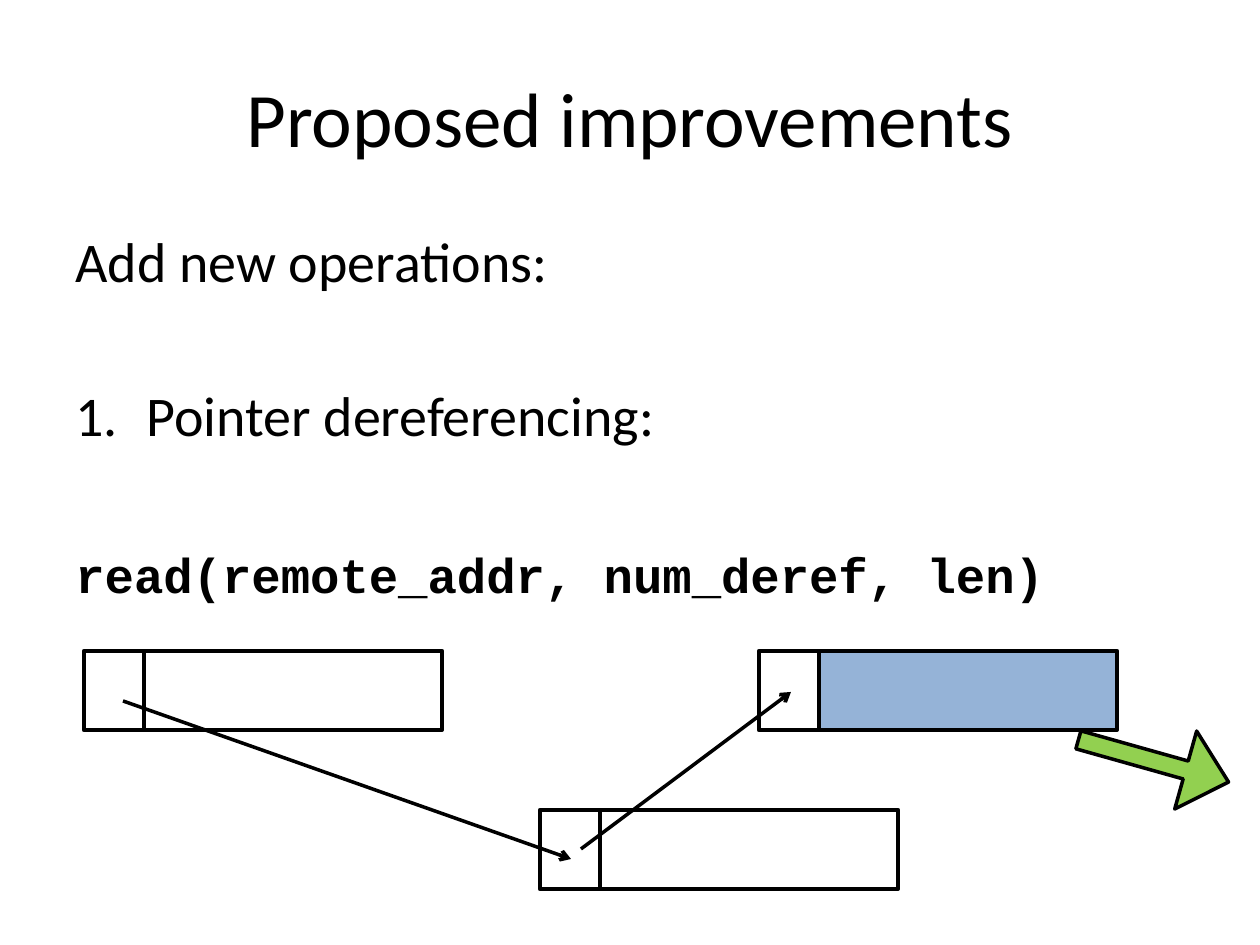
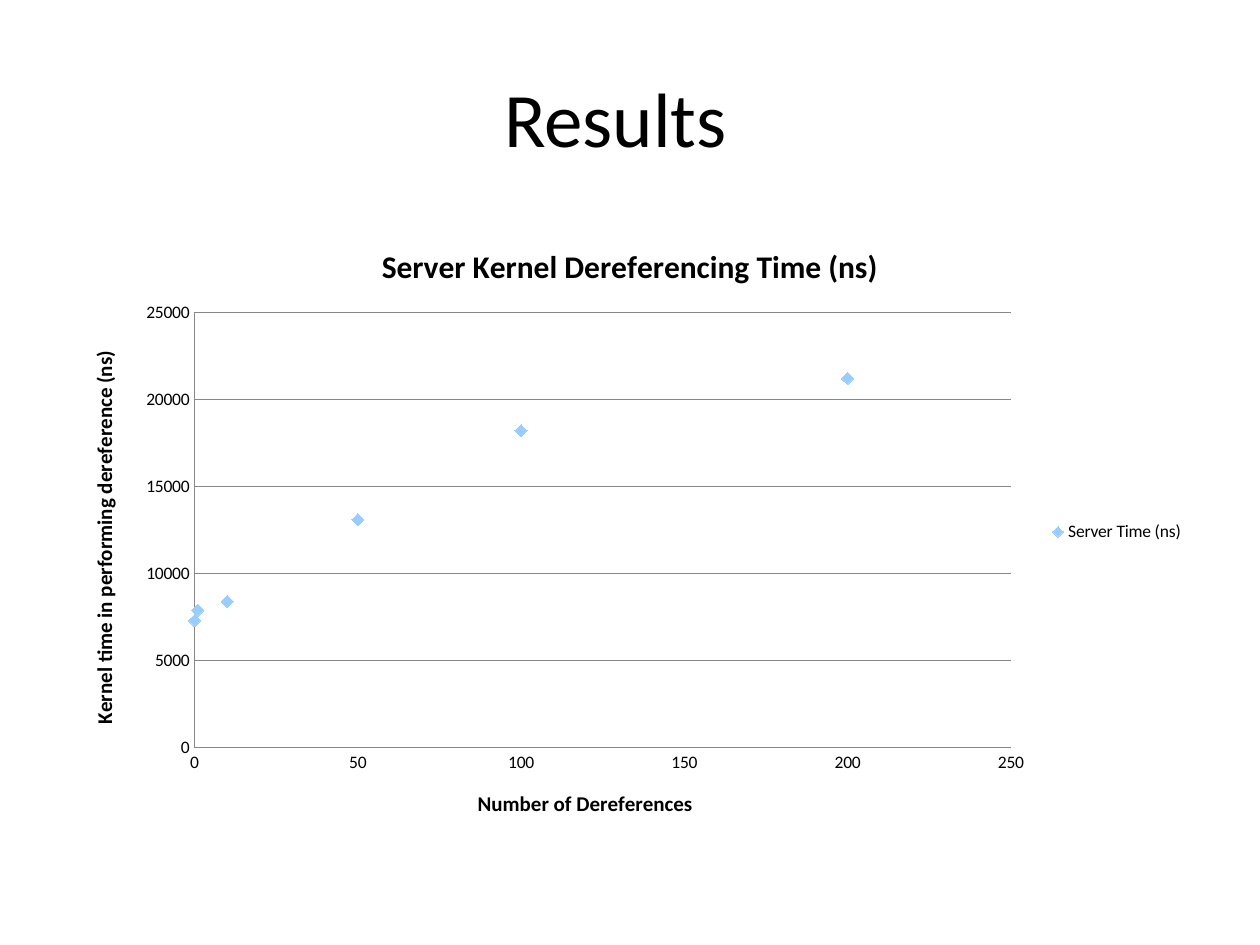
from lxml.etree import SubElement
from pptx import Presentation
from pptx.chart.data import XyChartData
from pptx.dml.color import RGBColor
from pptx.enum.chart import (XL_CHART_TYPE as Chart, XL_LEGEND_POSITION as Legend,
                             XL_MARKER_STYLE as Marker, XL_TICK_MARK as Tick)
from pptx.enum.shapes import MSO_CONNECTOR as Connector, MSO_SHAPE as Shape
from pptx.enum.text import MSO_ANCHOR as Anchor, PP_ALIGN as Align
from pptx.oxml.ns import qn
from pptx.util import Emu, Pt

PIXEL = 914400 // 126
BLACK, WHITE, BLUE, GREEN = "000000", "FFFFFF", "95B3D7", "92D050"
GRID, POINT = "878787", "99CCFF"
SANS, MONO = "Calibri", "Courier New"
TITLE_BOX = (63, 38, 1134, 157)
CONTENT_BOX = (63, 220, 1134, 624)
POINTER_WIDTH, PAYLOAD_WIDTH, NODE_HEIGHT = 60, 298, 79
NODES = [(84, 651, WHITE), (540, 810, WHITE), (759, 651, BLUE)]
HOPS = [(123, 701, 571, 859), (581, 849, 791, 692)]
TIMES = [(0, 7300), (1, 7900), (10, 8400), (50, 13100), (100, 18200), (200, 21200)]


def px(*lengths):
    """Turn picture pixels into EMU."""
    return [Emu(length * PIXEL) for length in lengths]


def color(value):
    """Turn a hex string into a colour."""
    return RGBColor.from_string(value)


def apply(target, **values):
    """Set several attributes of one object."""
    for name, value in values.items():
        setattr(target, name, value)


def set_font(font, size, face=SANS, bold=False):
    """Give a font its size, face, weight and black colour."""
    apply(font, size=Pt(size), name=face, bold=bold)
    font.color.rgb = color(BLACK)


def set_line(line, width, shade=BLACK):
    """Give a line its width and colour."""
    line.width = Pt(width)
    line.color.rgb = color(shade)


def add_page(deck, title):
    """Add a title-only slide with the shared title style."""
    page = deck.slides.add_slide(deck.slide_layouts[5])
    box = page.shapes.title
    left, top, width, height = px(*TITLE_BOX)
    apply(box, left=left, top=top, width=width, height=height)
    frame = box.text_frame
    apply(frame, text=title, vertical_anchor=Anchor.MIDDLE)
    para = frame.paragraphs[0]
    para.alignment = Align.CENTER
    set_font(para.runs[0].font, 44)
    return page


def number_paragraph(para, indent):
    """Number a paragraph with a hanging indent."""
    props = para._p.get_or_add_pPr()
    props.set("marL", str(indent * PIXEL))
    props.set("indent", str(-indent * PIXEL))
    SubElement(props, qn("a:buFont"), typeface="+mj-lt")
    SubElement(props, qn("a:buAutoNum"), type="arabicPeriod")


def add_body(page, lines):
    """Add the text lines, each with its space before, size and face."""
    frame = page.shapes.add_textbox(*px(*CONTENT_BOX)).text_frame
    frame.word_wrap = True
    for index, (text, space, size, face, numbered) in enumerate(lines):
        para = frame.add_paragraph() if index else frame.paragraphs[0]
        para.space_before = Pt(space)
        span = para.add_run()
        span.text = text
        set_font(span.font, size, face, bold=face == MONO)
        if numbered:
            number_paragraph(para, 71)


def add_shape(page, kind, place, fill, width):
    """Add a filled, outlined preset shape without shadow."""
    shape = page.shapes.add_shape(kind, *px(*place))
    shape.shadow.inherit = False
    shape.fill.solid()
    shape.fill.fore_color.rgb = color(fill)
    set_line(shape.line, width)
    return shape


def add_node(page, left, top, fill):
    """Add a memory node: a pointer cell and its payload."""
    add_shape(page, Shape.RECTANGLE, (left, top, POINTER_WIDTH, NODE_HEIGHT), WHITE, 2.5)
    add_shape(page, Shape.RECTANGLE,
              (left + POINTER_WIDTH, top, PAYLOAD_WIDTH, NODE_HEIGHT), fill, 2.5)


def add_arrow(page, ends):
    """Add a straight line with an arrowhead at its end."""
    arrow = page.shapes.add_connector(Connector.STRAIGHT, *px(*ends))
    set_line(arrow.line, 2)
    SubElement(arrow.line._get_or_add_ln(), qn("a:tailEnd"), type="arrow")
    SubElement(arrow._element.spPr, qn("a:effectLst"))


def set_chart_title(owner, text, size):
    """Give a chart or an axis a bold title."""
    owner.has_title = True
    title = owner.chart_title if hasattr(owner, "chart_title") else owner.axis_title
    title.text_frame.text = text
    set_font(title.text_frame.paragraphs[0].runs[0].font, size, bold=True)


def set_axis(axis, title, maximum, step, grid):
    """Give an axis its title, scale, line and gridlines."""
    set_chart_title(axis, title, 12)
    apply(axis, minimum_scale=0, maximum_scale=maximum, major_unit=step,
          major_tick_mark=Tick.NONE, minor_tick_mark=Tick.NONE,
          has_major_gridlines=grid)
    apply(axis.tick_labels, number_format="General", number_format_is_linked=False)
    set_line(axis.format.line, 0.75, GRID)
    if grid:
        set_line(axis.major_gridlines.format.line, 0.75, GRID)


def place_plot(chart, **fractions):
    """Fix the inner plot area as fractions of the chart."""
    area = chart._chartSpace.chart.plotArea
    for old in area.findall(qn("c:layout")):
        area.remove(old)
    layout = SubElement(area, qn("c:layout"))
    area.insert(0, layout)
    manual = SubElement(layout, qn("c:manualLayout"))
    settings = {"layoutTarget": "inner", "xMode": "edge", "yMode": "edge", **fractions}
    for name, value in settings.items():
        SubElement(manual, qn("c:" + name), val=str(value))


def add_scatter(page):
    """Add the scatter chart of dereferencing times."""
    data = XyChartData()
    series = data.add_series("Server Time (ns)")
    for count, time in TIMES:
        series.add_data_point(count, time)
    chart = page.shapes.add_chart(Chart.XY_SCATTER, *px(*CONTENT_BOX), data).chart
    set_font(chart.font, 10)
    set_chart_title(chart, "Server Kernel Dereferencing Time (ns)", 18)
    set_axis(chart.category_axis, "Number of Dereferences", 250, 50, False)
    set_axis(chart.value_axis, "Kernel time in performing dereference (ns)",
             25000, 5000, True)
    chart.has_legend = True
    apply(chart.legend, position=Legend.RIGHT, include_in_layout=False)
    plot = chart.plots[0]
    plot.vary_by_categories = False
    dots = plot.series[0]
    dots.smooth = False
    dots.format.line.fill.background()
    apply(dots.marker, style=Marker.DIAMOND, size=7)
    dots.marker.format.fill.solid()
    dots.marker.format.fill.fore_color.rgb = color(POINT)
    dots.marker.format.line.fill.background()
    place_plot(chart, x=0.116, y=0.148, w=0.72, h=0.698)


def build_improvements(deck):
    """Build the slide on pointer dereferencing."""
    page = add_page(deck, "Proposed improvements")
    add_body(page, [
        ("Add new operations:", 2, 32, SANS, False),
        ("Pointer dereferencing:", 50, 32, SANS, True),
        ("read(remote_addr, num_deref, len)", 55, 28, MONO, False),
    ])
    for node in NODES:
        add_node(page, *node)
    for hop in HOPS:
        add_arrow(page, hop)
    result = add_shape(page, Shape.UP_ARROW, (1113, 683, 81, 156), GREEN, 2)
    result.rotation = 105.7
    result.adjustments[0], result.adjustments[1] = 0.23, 0.55


def build_results(deck):
    """Build the slide with the measured times."""
    add_scatter(add_page(deck, "Results\t"))


def main():
    """Build and save the deck."""
    deck = Presentation()
    deck.slide_width, deck.slide_height = px(1260, 945)
    build_improvements(deck)
    build_results(deck)
    deck.save("out.pptx")


main()
